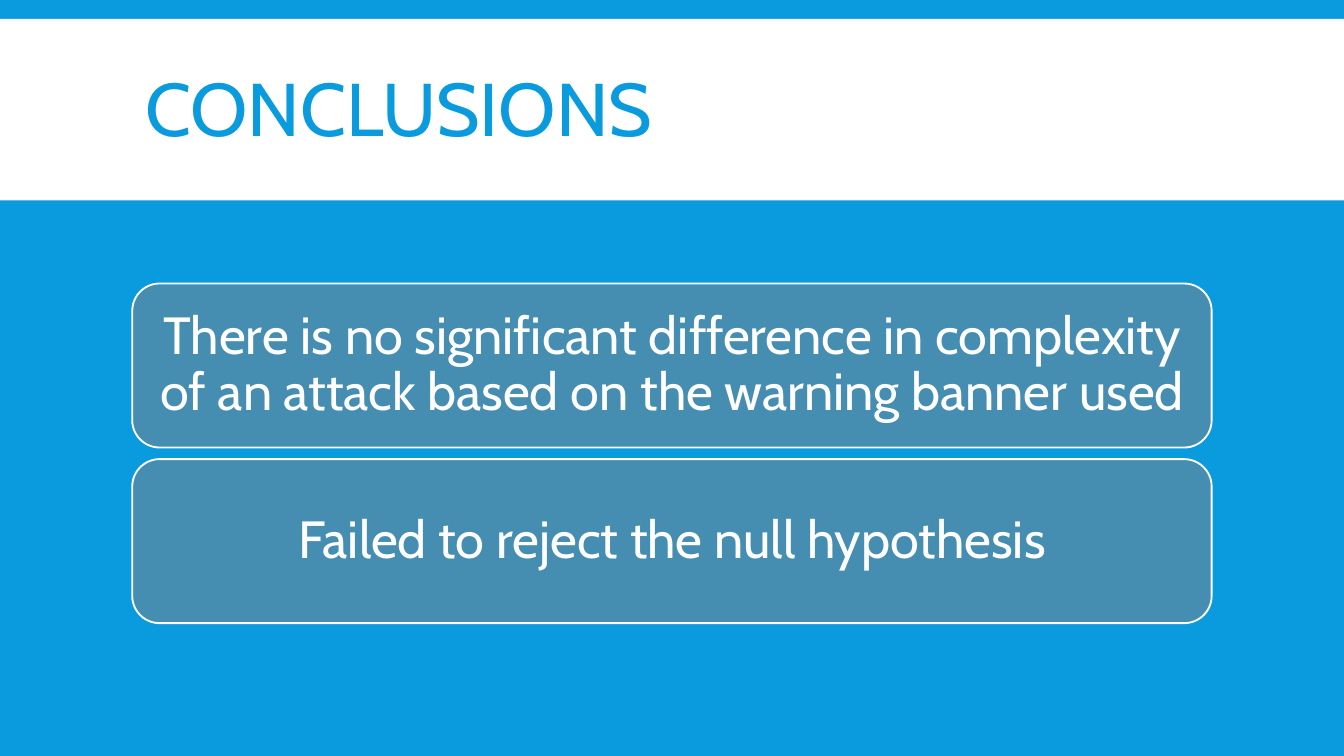
from dataclasses import dataclass

from lxml import etree
from pptx import Presentation
from pptx.dml.color import RGBColor
from pptx.enum.shapes import MSO_SHAPE
from pptx.enum.text import MSO_ANCHOR, MSO_AUTO_SIZE, PP_ALIGN
from pptx.oxml.ns import qn
from pptx.util import Cm, Pt

RECTANGLE = MSO_SHAPE.RECTANGLE
ROUNDED = MSO_SHAPE.ROUNDED_RECTANGLE
MIDDLE = MSO_ANCHOR.MIDDLE
NO_AUTOFIT = MSO_AUTO_SIZE.NONE
LEFT, CENTER = PP_ALIGN.LEFT, PP_ALIGN.CENTER


@dataclass(frozen=True)
class Theme:
    blue: RGBColor = RGBColor(0x09, 0x9B, 0xDD)
    white: RGBColor = RGBColor(0xFF, 0xFF, 0xFF)
    gray: RGBColor = RGBColor(0x82, 0x82, 0x88)
    font: str = "Cabin"
    title_size: int = 40
    card_size: int = 28


THEME = Theme()
CARD_TEXTS = (
    "There is no significant difference in complexity of an attack "
    "based on the warning banner used",
    "Failed to reject the null hypothesis",
)


def write_text(shape, text, *, size, color, align, line_spacing, inset=None):
    frame = shape.text_frame
    frame.text = text
    frame.word_wrap = True
    frame.auto_size = NO_AUTOFIT
    frame.vertical_anchor = MIDDLE
    if inset is not None:
        frame.margin_left = frame.margin_right = inset
        frame.margin_top = frame.margin_bottom = inset
    paragraph = frame.paragraphs[0]
    paragraph.alignment = align
    paragraph.line_spacing = line_spacing
    paragraph.font.name = THEME.font
    paragraph.font.size = Pt(size)
    paragraph.font.color.rgb = color


def add_box(slide, kind, left, top, width, height, fill):
    shape = slide.shapes.add_shape(kind, left, top, width, height)
    shape.shadow.inherit = False
    shape.fill.solid()
    shape.fill.fore_color.rgb = fill
    return shape


presentation = Presentation()
presentation.slide_width = Cm(25.4)
presentation.slide_height = Cm(14.29)
slide = presentation.slides.add_slide(presentation.slide_layouts[5])
slide.background.fill.solid()
slide.background.fill.fore_color.rgb = THEME.blue

margin = Cm(2.5)
content_width = presentation.slide_width - 2 * margin

# Title on a white band
title = slide.shapes.title
title.left, title.top = margin, Cm(0.58)
title.width, title.height = content_width, Cm(3.15)
write_text(title, "CONCLUSIONS", size=THEME.title_size, color=THEME.blue,
           align=LEFT, line_spacing=0.85)

band = add_box(slide, RECTANGLE, 0, Cm(0.36), presentation.slide_width,
               Cm(3.43), THEME.white)
band.line.fill.background()
title.element.addprevious(band.element)  # band lies behind the title

# Conclusion cards, half transparent
card_top, card_height, card_gap = Cm(5.36), Cm(3.1), Cm(0.22)
for index, text in enumerate(CARD_TEXTS):
    top = card_top + index * (card_height + card_gap)
    card = add_box(slide, ROUNDED, margin, top, content_width, card_height,
                   THEME.gray)
    fill_color = card.element.spPr.find(qn("a:solidFill"))[0]
    etree.SubElement(fill_color, qn("a:alpha"), val="50000")
    card.line.color.rgb = THEME.white
    card.line.width = Pt(1)
    write_text(card, text, size=THEME.card_size, color=THEME.white,
               align=CENTER, line_spacing=0.9, inset=Cm(0.3))

presentation.save("out.pptx")
